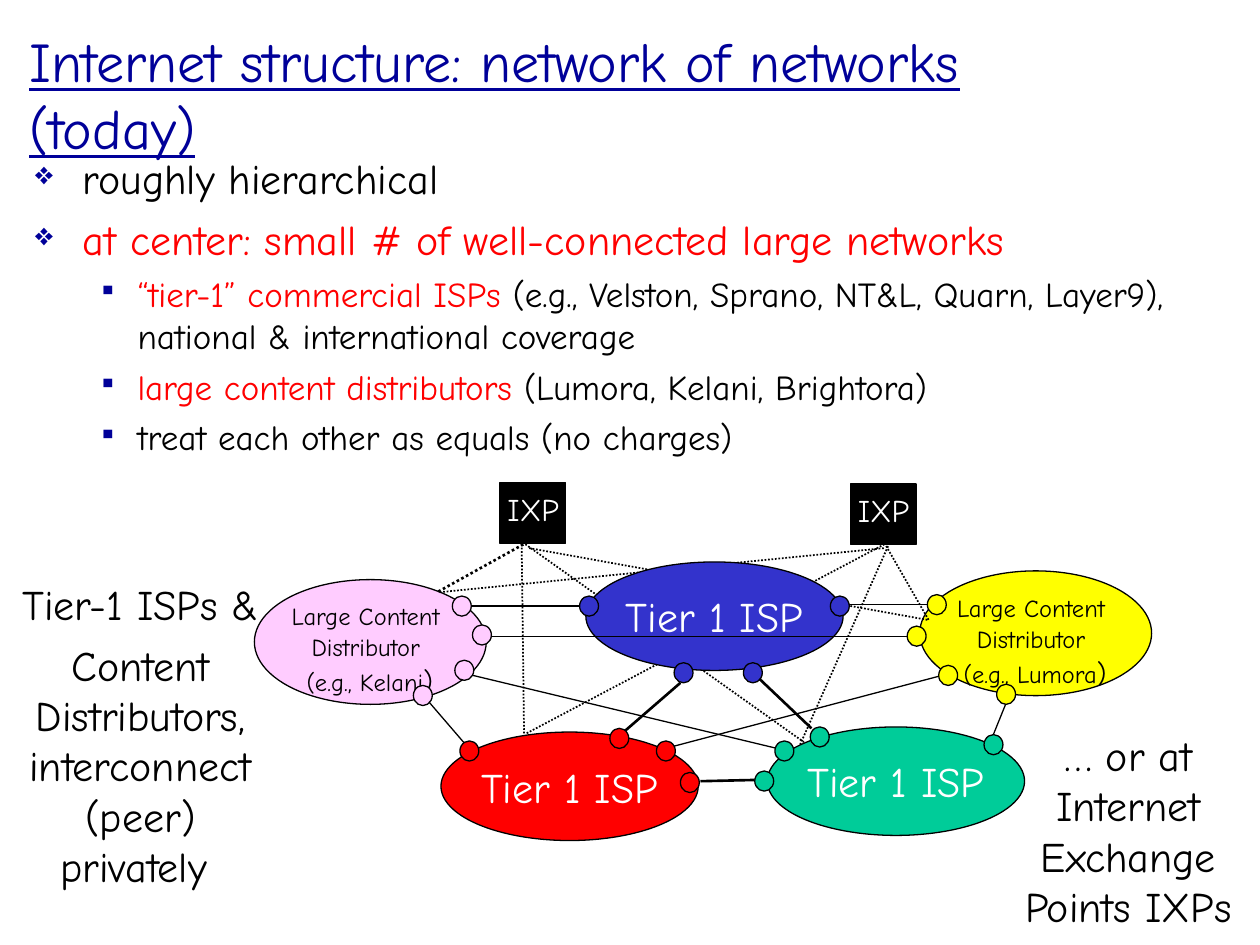
from lxml.etree import SubElement
from pptx import Presentation
from pptx.dml.color import RGBColor
from pptx.enum.dml import MSO_LINE
from pptx.enum.shapes import MSO_CONNECTOR, MSO_SHAPE
from pptx.enum.text import MSO_ANCHOR, MSO_AUTO_SIZE, PP_ALIGN
from pptx.oxml.ns import qn
from pptx.util import Pt

FONT = "Comic Neue"
BLACK, WHITE, NAVY = "000000", "FFFFFF", "000099"
RED, GREEN, BLUE = "FF0000", "00CC99", "3333CC"
YELLOW, PINK = "FFFF00", "FFCCFF"

BACKBONES = [(RED, 252, 418.3), (GREEN, 438.5, 415.4)]
TOP_BACKBONE = (BLUE, 334.8, 321.1)
DISTRIBUTORS = [("Lumora", YELLOW, 525.6, 326.2), ("Kelani", PINK, 145.4, 331.2)]
EXCHANGES = [(285.8, 275.8), (486, 276.5)]

EXCHANGE_LINKS = [
    (298.1, 311, 299.5, 420.5),
    (300.2, 311, 459.4, 424.1),
    (302.4, 313.2, 529.9, 354.2),
    (530.6, 354.2, 505.4, 310.3),
    (457.2, 425.5, 507.6, 311.8),
    (301, 419, 505.4, 311),
    (251.3, 338.4, 505.4, 313.2),
]
BACKBONE_LINKS = [
    (400.3, 446.4, 431.3, 445.7),
    (433.4, 387.4, 463.7, 416.2),
    (356.4, 418.3, 388.8, 390.2),
]
DISTRIBUTOR_LINKS = [
    (380.2, 427.7, 546.5, 383.8),
    (481, 345.6, 539.3, 345.6),
    (334.1, 346.3, 263.5, 346.3),
    (264.2, 384.5, 447.1, 428.4),
    (576.7, 397.4, 565.9, 424.1),
    (242.6, 398.2, 268.6, 428.4),
    (275, 363.6, 524.2, 363.6),
]
PORTS = {
    GREEN: [(463, 415.4), (431.3, 440.6), (442.8, 423.4), (562.3, 419.8)],
    BLUE: [(424.8, 378.7), (385.2, 378.7), (474.5, 340.6), (331.2, 340.6)],
    RED: [(348.5, 416.2), (388.8, 441.4), (375.1, 423.4), (262.8, 423.4)],
    YELLOW: [(529.9, 339.8), (569.5, 391), (536.4, 380.2), (518.4, 357.8)],
    PINK: [(258.5, 340.6), (270, 357.1), (236.2, 391.7), (259.9, 377.3)],
}


def rgb(value):
    """Turn a hex string into a colour."""
    return RGBColor.from_string(value)


def write(para, text, *, size=24, color=BLACK, underline=None):
    """Append formatted text to a paragraph."""
    span = para.add_run()
    span.text = text
    span.font.name = FONT
    span.font.size = Pt(size)
    span.font.color.rgb = rgb(color)
    span.font.underline = underline


def next_para(frame, align=PP_ALIGN.LEFT, before=6, spacing=None):
    """Return the empty first paragraph of a frame or a new one."""
    first = frame.paragraphs[0]
    para = frame.add_paragraph() if first.runs else first
    para.alignment = align
    para.space_before = Pt(before if para is not first and first.runs else 0)
    para.line_spacing = spacing
    return para


def add_bullet(para, mark, indent, hanging):
    """Give a paragraph a navy bullet and a hanging indent."""
    properties = para._p.get_or_add_pPr()
    properties.set("marL", str(Pt(indent)))
    properties.set("indent", str(-Pt(hanging)))
    color = SubElement(properties, qn("a:buClr"))
    SubElement(color, qn("a:srgbClr"), val=NAVY)
    SubElement(properties, qn("a:buSzPct"), val="75000")
    SubElement(properties, qn("a:buChar"), char=mark)


def add_box(slide, left, top, width, height, wrap=True, fit=True):
    """Add a text box and return its frame."""
    box = slide.shapes.add_textbox(Pt(left), Pt(top), Pt(width), Pt(height))
    frame = box.text_frame
    frame.word_wrap = wrap
    frame.auto_size = MSO_AUTO_SIZE.SHAPE_TO_FIT_TEXT if fit else MSO_AUTO_SIZE.NONE
    return frame


def add_outlined(slide, kind, fill, left, top, width, height):
    """Add a filled preset shape with a thin black outline."""
    shape = slide.shapes.add_shape(kind, Pt(left), Pt(top), Pt(width), Pt(height))
    shape.shadow.inherit = False
    shape.fill.solid()
    shape.fill.fore_color.rgb = rgb(fill)
    shape.line.color.rgb = rgb(BLACK)
    shape.line.width = Pt(0.75)
    return shape


def add_link(slide, ends, width=0.75, dash=None):
    """Add a straight black link between two points."""
    link = slide.shapes.add_connector(MSO_CONNECTOR.STRAIGHT, *map(Pt, ends))
    link.line.color.rgb = rgb(BLACK)
    link.line.width = Pt(width)
    link.line.dash_style = dash
    SubElement(link._element.spPr, qn("a:effectLst"))


def add_backbone(slide, fill, left, top):
    """Add a labelled tier 1 network."""
    shape = add_outlined(slide, MSO_SHAPE.OVAL, fill, left, top, 147, 62)
    frame = shape.text_frame
    frame.word_wrap = False
    frame.vertical_anchor = MSO_ANCHOR.MIDDLE
    write(next_para(frame, PP_ALIGN.CENTER), "Tier 1 ISP", color=WHITE)


def add_distributor(slide, name, fill, left, top):
    """Add a content distributor network with its three-line label."""
    add_outlined(slide, MSO_SHAPE.OVAL, fill, left, top, 132.5, 71.3)
    frame = add_box(slide, left + 13.7, top + 11.5, 104.4, 59.8, wrap=False)
    for text in ("Large Content ", "Distributor "):
        write(next_para(frame, PP_ALIGN.CENTER, 3.5, 0.85), text, size=14)
    para = next_para(frame, PP_ALIGN.CENTER, 4, 0.85)
    write(para, f"(e.g., {name}", size=14)
    write(para, ")", size=16)


def add_exchange(slide, left, top):
    """Add a black exchange point with its label."""
    add_outlined(slide, MSO_SHAPE.RECTANGLE, BLACK, left, top, 37.4, 34.6)
    frame = add_box(slide, left - 2.9, top + 0.7, 43.9, 28.8, wrap=False)
    write(next_para(frame), "IXP", size=18, color=WHITE)


def add_title(slide):
    """Place and format the slide title."""
    title = slide.shapes.title
    title.left, title.top, title.width, title.height = map(Pt, (9.4, 8.6, 637.2, 90))
    frame = title.text_frame
    frame.auto_size = MSO_AUTO_SIZE.NONE
    frame.vertical_anchor = MSO_ANCHOR.MIDDLE
    write(next_para(frame), "Internet structure: network of networks (today)",
          size=32, color=NAVY, underline=True)


def add_points(slide):
    """Add the two-level bullet list."""
    frame = add_box(slide, 13, 83.5, 664.6, 260, fit=False)
    for text, color in (("roughly hierarchical", BLACK),
                        ("at center: small # of well-connected large networks", RED)):
        para = next_para(frame)
        add_bullet(para, "❖", 27, 27)
        write(para, text, color=color)
    details = [
        ("“tier-1” commercial ISPs ",
         "(e.g., Velston, Sprano, NT&L, Quarn, Layer9), national & international coverage"),
        ("large content distributors", " (Lumora, Kelani, Brightora)"),
        ("", "treat each other as equals (no charges)"),
    ]
    for lead, rest in details:
        para = next_para(frame, before=5)
        para.level = 1
        add_bullet(para, "▪", 58.5, 22.5)
        if lead:
            write(para, lead, size=20, color=RED)
        write(para, rest, size=20)


def add_caption(slide, left, top, height, *texts):
    """Add a centred caption beside the diagram."""
    frame = add_box(slide, left, top, 160.6, height)
    for text in texts:
        write(next_para(frame, PP_ALIGN.CENTER), text)


def main():
    """Build the slide and save it."""
    deck = Presentation()
    deck.slide_width, deck.slide_height = Pt(720), Pt(540)
    page = deck.slides.add_slide(deck.slide_layouts[5])
    add_title(page)
    add_points(page)
    for backbone in BACKBONES:
        add_backbone(page, *backbone)
    for distributor in DISTRIBUTORS:
        add_distributor(page, *distributor)
    for exchange in EXCHANGES:
        add_exchange(page, *exchange)
    add_link(page, (301.7, 309.6, 249.8, 338.4), 1.5, MSO_LINE.ROUND_DOT)
    for ends in EXCHANGE_LINKS:
        add_link(page, ends, 1, MSO_LINE.ROUND_DOT)
    add_backbone(page, *TOP_BACKBONE)
    for ends in BACKBONE_LINKS:
        add_link(page, ends, 1.5)
    for ends in DISTRIBUTOR_LINKS:
        add_link(page, ends)
    for fill, places in PORTS.items():
        for left, top in places:
            add_outlined(page, MSO_SHAPE.OVAL, fill, left, top, 10.8, 11.5)
    add_caption(page, 0, 326.9, 186.5, "Tier-1 ISPs &",
                "Content Distributors, interconnect (peer) privately ")
    add_caption(page, 564.5, 413.3, 122.4, "… or at Internet Exchange Points IXPs")
    deck.save("out.pptx")


if __name__ == "__main__":
    main()
